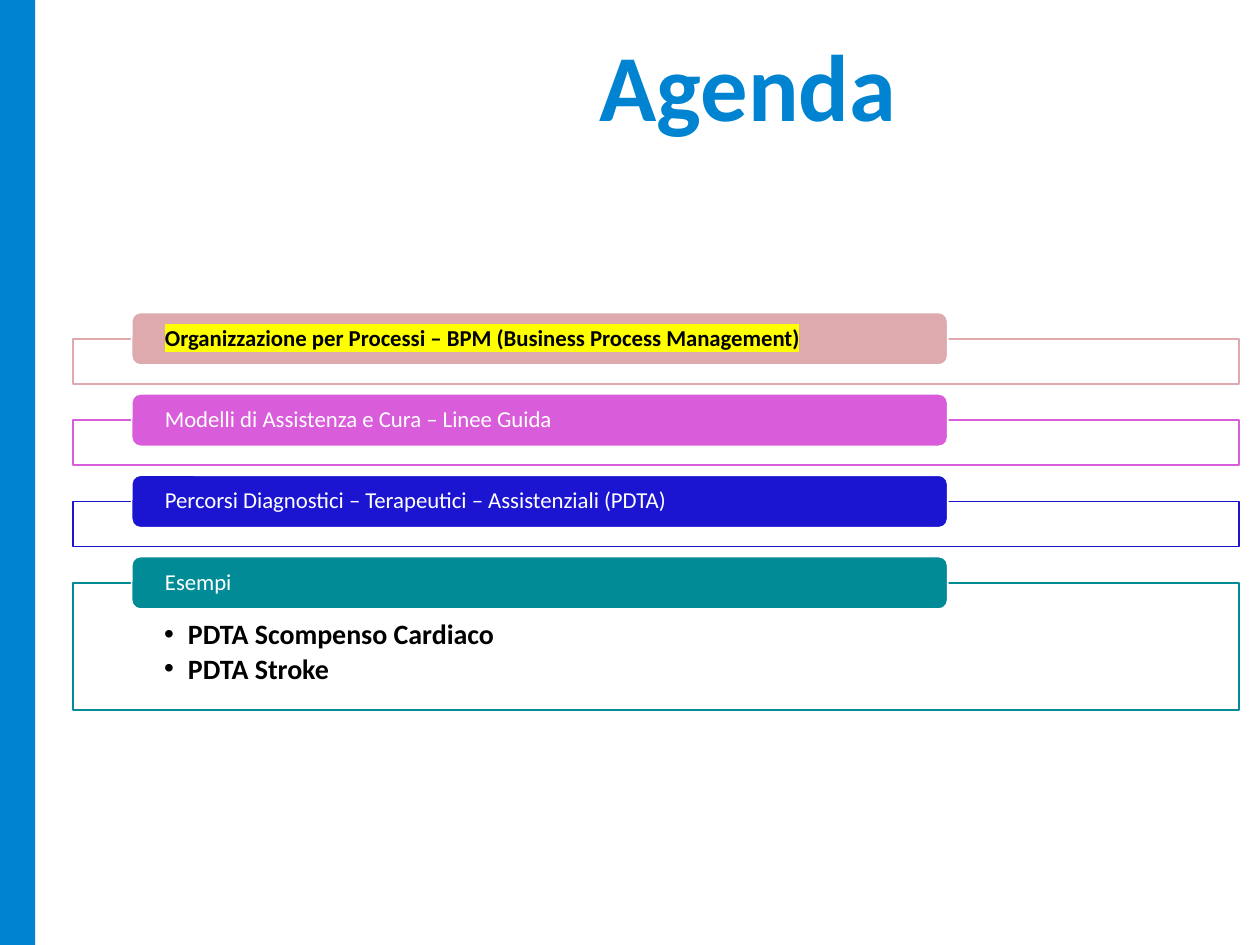
import dataclasses

import lxml.etree
import pptx
import pptx.dml.color
import pptx.enum.shapes
import pptx.enum.text
import pptx.oxml.ns
import pptx.util

Cm = pptx.util.Cm
Pt = pptx.util.Pt
qn = pptx.oxml.ns.qn
SHAPES = pptx.enum.shapes.MSO_SHAPE
ANCHORS = pptx.enum.text.MSO_ANCHOR


@dataclasses.dataclass(frozen=True)
class Theme:
    """Colours, font and type sizes of the deck."""
    font: str = "Calibri"
    accent: str = "0084D1"
    white: str = "FFFFFF"
    black: str = "000000"
    highlight: str = "FFFF00"
    title_size: int = 54
    tab_size: int = 13
    bullet_size: int = 16
    line_width: int = 1


THEME = Theme()
SECTIONS = [
    ("Organizzazione per Processi – BPM (Business Process Management)", "DFAAAD", True, []),
    ("Modelli di Assistenza e Cura – Linee Guida", "D95DDB", False, []),
    ("Percorsi Diagnostici – Terapeutici – Assistenziali (PDTA)", "1B15D2", False, []),
    ("Esempi", "008B96", False, ["PDTA Scompenso Cardiaco", "PDTA Stroke"]),
]
TAB_HEIGHT = 1.06
PANEL_HEIGHT = 0.91
BULLET_PANEL_HEIGHT = 2.57
SECTION_GAP = 0.2


def rgb(colour):
    """Return a colour object for a hex string."""
    return pptx.dml.color.RGBColor.from_string(colour)


def add_bullet(para, indent):
    """Give a paragraph a round bullet with a hanging indent."""
    properties = para._p.get_or_add_pPr()
    properties.set("marL", str(indent))
    properties.set("indent", str(-indent))
    lxml.etree.SubElement(properties, qn("a:buFont")).set("typeface", "Arial")
    lxml.etree.SubElement(properties, qn("a:buChar")).set("char", "•")


def highlight_span(span, colour):
    """Mark a run with a highlight colour."""
    mark = lxml.etree.Element(qn("a:highlight"))
    lxml.etree.SubElement(mark, qn("a:srgbClr")).set("val", colour)
    span._r.get_or_add_rPr().find(qn("a:solidFill")).addnext(mark)


def write_text(shape, lines, *, size, colour, bold=False, highlight=None, bullet=False,
               anchor=ANCHORS.MIDDLE, insets=(0.25, 0.13, 0.25, 0.13),
               spacing=0.9, space_after=0):
    """Write formatted lines into a shape, one paragraph each."""
    frame = shape.text_frame
    frame.word_wrap = True
    frame.auto_size = pptx.enum.text.MSO_AUTO_SIZE.NONE
    frame.vertical_anchor = anchor
    (frame.margin_left, frame.margin_top,
     frame.margin_right, frame.margin_bottom) = map(Cm, insets)
    for index, line in enumerate(lines):
        para = frame.add_paragraph() if index else frame.paragraphs[0]
        para.alignment = pptx.enum.text.PP_ALIGN.LEFT
        para.line_spacing = spacing
        para.space_before = Pt(0)
        para.space_after = Pt(space_after)
        if bullet:
            add_bullet(para, Cm(0.48))
        span = para.add_run()
        span.text = line
        span.font.size = Pt(size)
        span.font.name = THEME.font
        span.font.bold = bold
        span.font.color.rgb = rgb(colour)
        if highlight:
            highlight_span(span, highlight)


def add_block(page, kind, box, fill, line=None):
    """Add a flat preset shape in a box given in centimetres."""
    shape = page.shapes.add_shape(kind, *map(Cm, box))
    shape.shadow.inherit = False
    shape.fill.solid()
    shape.fill.fore_color.rgb = rgb(fill)
    if line:
        shape.line.color.rgb = rgb(line)
        shape.line.width = Pt(THEME.line_width)
    else:
        shape.line.fill.background()
    return shape


def place_title(page, text, box):
    """Move the title placeholder to its box and fill it."""
    title = page.shapes.title
    title.left, title.top, title.width, title.height = map(Cm, box)
    write_text(title, [text], size=THEME.title_size, colour=THEME.accent,
               bold=True, spacing=1.0)


def place_section(page, box, label, colour, current, bullets):
    """Place an outlined panel with a tab across its top edge."""
    left, top, width, height = box
    overlap = TAB_HEIGHT / 2
    panel = add_block(page, SHAPES.RECTANGLE,
                      (left, top + overlap, width, height - overlap), THEME.white, colour)
    if bullets:
        write_text(panel, bullets, size=THEME.bullet_size, colour=THEME.black, bold=True,
                   bullet=True, anchor=ANCHORS.TOP, insets=(1.83, 0.76, 1.83, 0.3),
                   space_after=2.4)
    tab = add_block(page, SHAPES.ROUNDED_RECTANGLE,
                    (left + width * 0.05, top, width * 0.7, TAB_HEIGHT), colour, THEME.white)
    write_text(tab, [label], size=THEME.tab_size, bold=current,
               colour=THEME.black if current else THEME.white,
               highlight=THEME.highlight if current else None,
               insets=(0.62, 0, 0.62, 0))


def place_agenda(page, left, top, width):
    """Stack the agenda sections with equal gaps."""
    for label, colour, current, bullets in SECTIONS:
        panel_height = BULLET_PANEL_HEIGHT if bullets else PANEL_HEIGHT
        height = TAB_HEIGHT / 2 + panel_height
        place_section(page, (left, top, width, height), label, colour, current, bullets)
        top += height + SECTION_GAP


def main():
    """Build the agenda slide and save the deck."""
    deck = pptx.Presentation()
    deck.slide_width, deck.slide_height = Cm(25.4), Cm(19.05)
    page = deck.slides.add_slide(deck.slide_layouts.get_by_name("Title Only"))
    add_block(page, SHAPES.RECTANGLE, (0, 0, 0.71, 19.05), THEME.accent)
    place_title(page, "Agenda", (11.84, 0.84, 12.37, 1.7))
    place_agenda(page, 1.48, 6.3, 23.5)
    deck.save("out.pptx")


if __name__ == "__main__":
    main()
